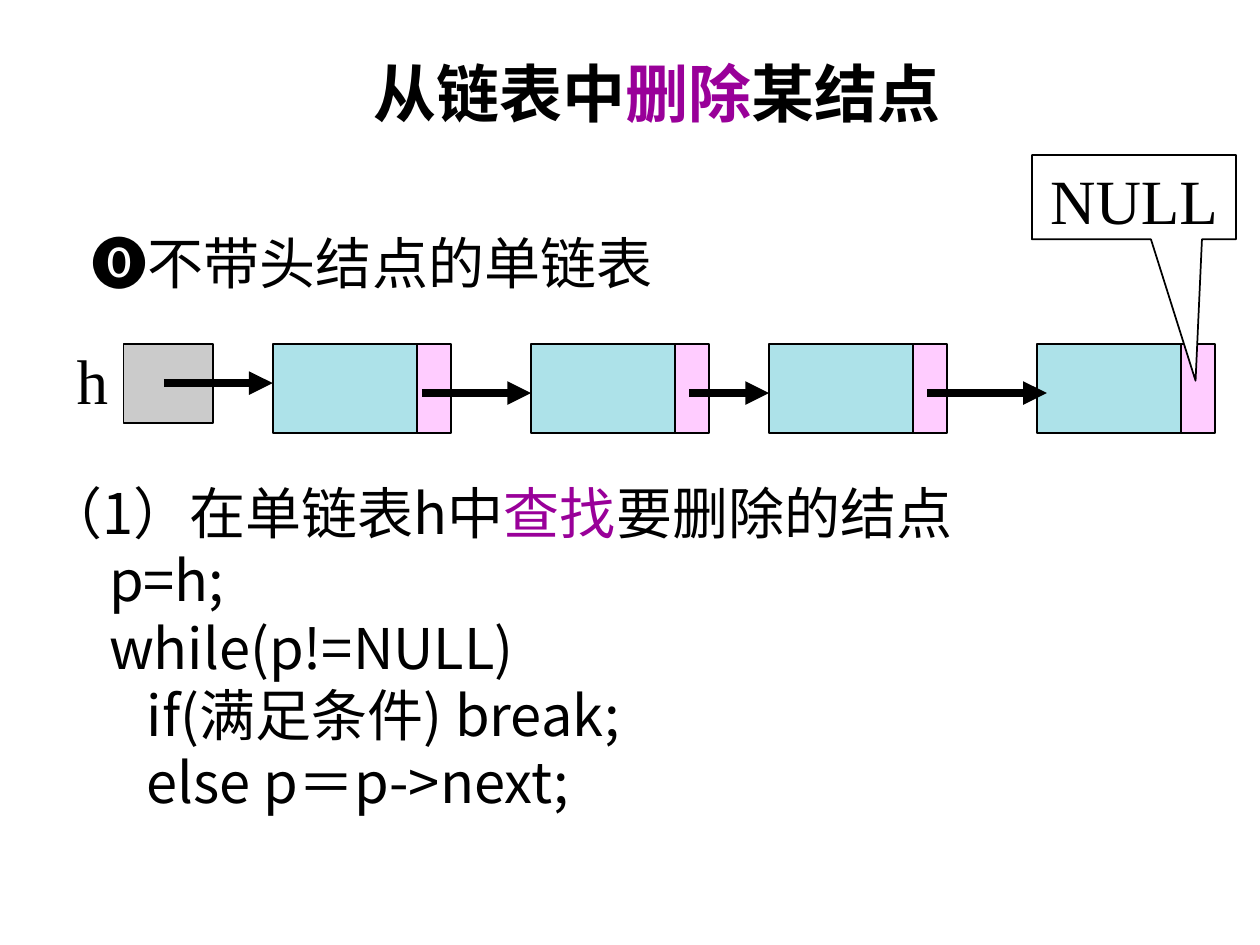
from lxml.etree import SubElement
from pptx import Presentation
from pptx.dml.color import RGBColor
from pptx.enum.shapes import MSO_CONNECTOR, MSO_SHAPE
from pptx.enum.text import MSO_ANCHOR, PP_ALIGN
from pptx.oxml.ns import qn
from pptx.util import Pt

BLACK = RGBColor(0x00, 0x00, 0x00)
WHITE = RGBColor(0xFF, 0xFF, 0xFF)
PURPLE = RGBColor(0x99, 0x00, 0x99)
GRAY = RGBColor(0xCB, 0xCB, 0xCB)
TEAL = RGBColor(0xAD, 0xE2, 0xE9)
PINK = RGBColor(0xFF, 0xCC, 0xFF)

SERIF = "Times New Roman"
CHINESE = "Noto Sans CJK SC"

NODE_TOP = 196.5
DATA_WIDTH = 82.4
LINK_WIDTH = 19.4
NODE_HEIGHT = 51.2
NODE_LEFTS = (155.8, 303.4, 439.4, 592.4)
ARROWS = ((93.6, 155.8, 218.9), (241.1, 303.4, 224.6),
          (394, 439.4, 224.6), (530, 598.2, 224.6))

SEARCH_LINES = (
    (("（1）在单链表h中", BLACK), ("查找", PURPLE), ("要删除的结点", BLACK)),
    (("     p=h;", BLACK),),
    (("     while(p!=NULL)", BLACK),),
    (("        if(满足条件) break;", BLACK),),
    (("        else p＝p->next;", BLACK),),
)


class SlidePainter:
    def __init__(self, page):
        self.shapes = page.shapes

    def style(self, span, size, font, color=BLACK, bold=False):
        span.font.size = Pt(size)
        span.font.name = font
        span.font.bold = bold
        span.font.color.rgb = color
        east_asian = SubElement(span.font._element, qn("a:ea"))
        east_asian.set("typeface", CHINESE)

    def text(self, left, top, width, height, lines, size, font,
             bold=False, wrap=True, anchor=MSO_ANCHOR.TOP):
        """Add a text box; each line is a sequence of (text, colour) spans."""
        box = self.shapes.add_textbox(Pt(left), Pt(top), Pt(width), Pt(height))
        frame = box.text_frame
        frame.word_wrap = wrap
        frame.vertical_anchor = anchor
        for number, line in enumerate(lines):
            para = frame.add_paragraph() if number else frame.paragraphs[0]
            for content, color in line:
                span = para.add_run()
                span.text = content
                self.style(span, size, font, color, bold)
        return box

    def shape(self, kind, left, top, width, height, fill):
        box = self.shapes.add_shape(kind, Pt(left), Pt(top), Pt(width), Pt(height))
        box.shadow.inherit = False
        box.fill.solid()
        box.fill.fore_color.rgb = fill
        box.line.color.rgb = BLACK
        box.line.width = Pt(1)
        return box

    def node(self, left):
        """Draw a list node: a data field followed by a link field."""
        for offset, width, fill in ((0, DATA_WIDTH, TEAL),
                                    (DATA_WIDTH, LINK_WIDTH, PINK)):
            self.shape(MSO_SHAPE.RECTANGLE, left + offset, NODE_TOP,
                       width, NODE_HEIGHT, fill)

    def callout(self, left, top, width, height, label, tip):
        box = self.shape(MSO_SHAPE.RECTANGULAR_CALLOUT, left, top, width, height, WHITE)
        box.adjustments[0], box.adjustments[1] = tip
        frame = box.text_frame
        frame.text = label
        frame.vertical_anchor = MSO_ANCHOR.TOP
        para = frame.paragraphs[0]
        para.alignment = PP_ALIGN.CENTER
        self.style(para.runs[0], 36, SERIF)

    def arrow(self, start, end, level):
        line = self.shapes.add_connector(MSO_CONNECTOR.STRAIGHT, Pt(start), Pt(level),
                                         Pt(end), Pt(level))
        line.line.color.rgb = BLACK
        line.line.width = Pt(4.5)
        SubElement(line.line._get_or_add_ln(), qn("a:tailEnd")).set("type", "triangle")
        SubElement(line._element.spPr, qn("a:effectLst"))


def main():
    deck = Presentation()
    deck.slide_width, deck.slide_height = Pt(720), Pt(540)
    page = deck.slides.add_slide(deck.slide_layouts[6])
    painter = SlidePainter(page)

    title = (("从链表中", BLACK), ("删除", PURPLE), ("某结点", BLACK))
    painter.text(206.6, 22.3, 507.6, 61.2, [title], 36, SERIF,
                 bold=True, anchor=MSO_ANCHOR.MIDDLE)

    heading = painter.text(9.4, 127, 674, 54, [(("⓿", BLACK), ("不带头结点的单链表", BLACK))],
                           32, CHINESE)
    para = heading.text_frame.paragraphs[0]
    para.runs[0].font.name = "Arial"
    properties = para._p.get_or_add_pPr()
    properties.set("marL", str(Pt(36)))
    properties.set("indent", "0")

    painter.shape(MSO_SHAPE.RECTANGLE, 70.6, NODE_TOP, 51.1, 45.4, GRAY)
    painter.text(36.7, 191.5, 32.4, 50.4, [(("h", BLACK),)], 36, SERIF, wrap=False)
    for left in NODE_LEFTS:
        painter.node(left)
    painter.callout(589.7, 88.6, 116.6, 48.2, "NULL", (0.302, 2.177))
    for start, end, level in ARROWS:
        painter.arrow(start, end, level)

    painter.text(19.4, 270, 659.5, 199.4, SEARCH_LINES, 32, CHINESE)
    deck.save("out.pptx")


if __name__ == "__main__":
    main()
